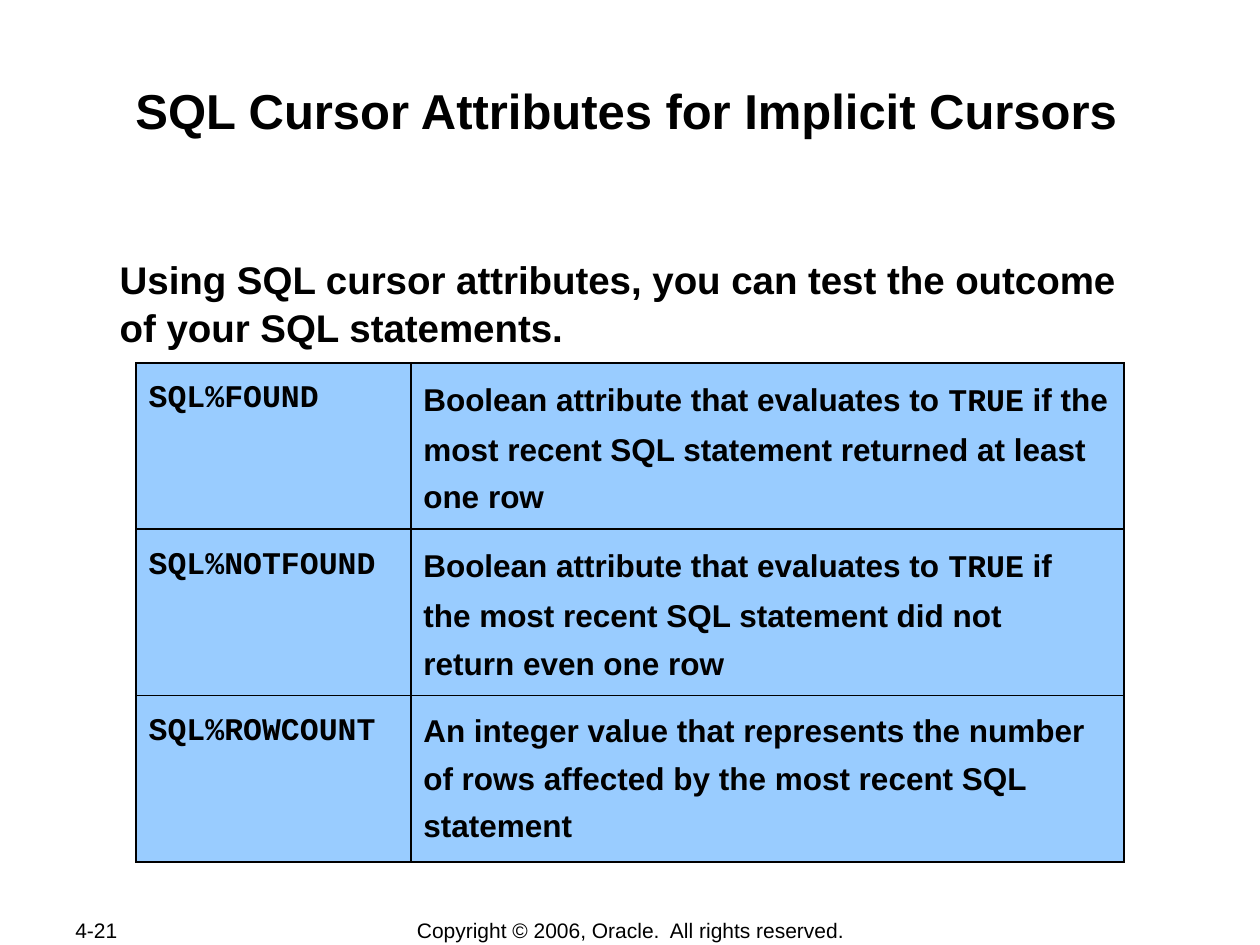
from lxml.etree import SubElement
from pptx import Presentation
from pptx.dml.color import RGBColor
from pptx.enum.text import MSO_ANCHOR, MSO_AUTO_SIZE, PP_ALIGN
from pptx.oxml.ns import qn
from pptx.util import Inches, Pt

# Content
TITLE = "SQL Cursor Attributes for Implicit Cursors"
BODY = ("Using SQL cursor attributes, you can test the outcome "
        "of your SQL statements.")
MONO, SANS = "Courier New", "Arial"
ATTRIBUTES = [  # name, description as (text, font) runs
    ("SQL%FOUND", [
        ("Boolean attribute that evaluates to ", SANS), ("TRUE", MONO),
        (" if the most recent SQL statement returned at least one row", SANS)]),
    ("SQL%NOTFOUND", [
        ("Boolean attribute that evaluates to ", SANS), ("TRUE", MONO),
        (" if \nthe most recent SQL statement did not\nreturn even one row", SANS)]),
    ("SQL%ROWCOUNT", [
        ("An integer value that represents the number of rows affected "
         "by the most recent SQL statement", SANS)]),
]
FOOTER = [  # text, box, alignment
    ("4-21", (0.5, 7.28, 1.06, 0.2), PP_ALIGN.LEFT),
    ("Copyright © 2006, Oracle.  All rights reserved.",
     (2.76, 7.28, 4.49, 0.21), PP_ALIGN.CENTER),
]
BLACK, BLUE = "000000", "99CCFF"
COLS, ROW_H = (2.18, 5.66), 1.32


def color(value):
    return RGBColor.from_string(value)


def write(tf, runs, size, bold=True, align=PP_ALIGN.LEFT, spacing=1.0):
    """Fill the first paragraph with (text, font) runs; newlines break lines."""
    p = tf.paragraphs[0]
    p.alignment, p.line_spacing, p.space_before = align, spacing, Pt(0)
    for text, font in runs:
        for i, line in enumerate(text.split("\n")):
            if i:
                p.add_line_break()
            r = p.add_run()
            r.text = line
            r.font.name, r.font.size, r.font.bold = font, Pt(size), bold
            r.font.color.rgb = color(BLACK)
    return p


def place(sp, left, top, width, height):
    sp.left, sp.top = Inches(left), Inches(top)
    sp.width, sp.height = Inches(width), Inches(height)
    tf = sp.text_frame
    tf.auto_size, tf.vertical_anchor = MSO_AUTO_SIZE.NONE, MSO_ANCHOR.TOP
    tf.margin_left = tf.margin_right = Inches(0.01)
    tf.margin_top = tf.margin_bottom = Inches(0.01)
    return tf


def add_borders(cell):
    tc_pr = cell._tc.get_or_add_tcPr()
    for side in ("a:lnL", "a:lnR", "a:lnT", "a:lnB"):
        ln = SubElement(tc_pr, qn(side), w=str(Pt(1.08)))
        fill = SubElement(ln, qn("a:solidFill"))
        SubElement(fill, qn("a:srgbClr"), val=BLACK)


prs = Presentation()
prs.slide_width, prs.slide_height = Inches(10), Inches(7.5)
slide = prs.slides.add_slide(prs.slide_layouts[1])

# Title and lead sentence
tf = place(slide.shapes.title, 0.97, 0.63, 8, 0.91)
write(tf, [(TITLE, SANS)], 28, align=PP_ALIGN.CENTER)
tf = place(slide.placeholders[1], 0.94, 2.01, 8.06, 0.74)
p = write(tf, [(BODY, SANS)], 22, spacing=1.04)
p_pr = p._p.get_or_add_pPr()
p_pr.set("marL", "0")
p_pr.set("indent", "0")
SubElement(p_pr, qn("a:buNone"))

# Attribute table
table = slide.shapes.add_table(
    len(ATTRIBUTES), len(COLS), Inches(1.08), Inches(2.88),
    Inches(sum(COLS)), Inches(ROW_H * len(ATTRIBUTES))).table
table.first_row = table.horz_banding = False
for col, width in zip(table.columns, COLS):
    col.width = Inches(width)
for i, (name, description) in enumerate(ATTRIBUTES):
    table.rows[i].height = Inches(ROW_H)
    for j, runs in enumerate(([(name, MONO)], description)):
        cell = table.cell(i, j)
        add_borders(cell)
        cell.fill.solid()
        cell.fill.fore_color.rgb = color(BLUE)
        write(cell.text_frame, runs, 18, spacing=1.35)

# Footer
for text, box, align in FOOTER:
    tf = slide.shapes.add_textbox(*map(Inches, box)).text_frame
    tf.word_wrap, tf.vertical_anchor = False, MSO_ANCHOR.MIDDLE
    write(tf, [(text, SANS)], 12, bold=False, align=align)

prs.save("out.pptx")
